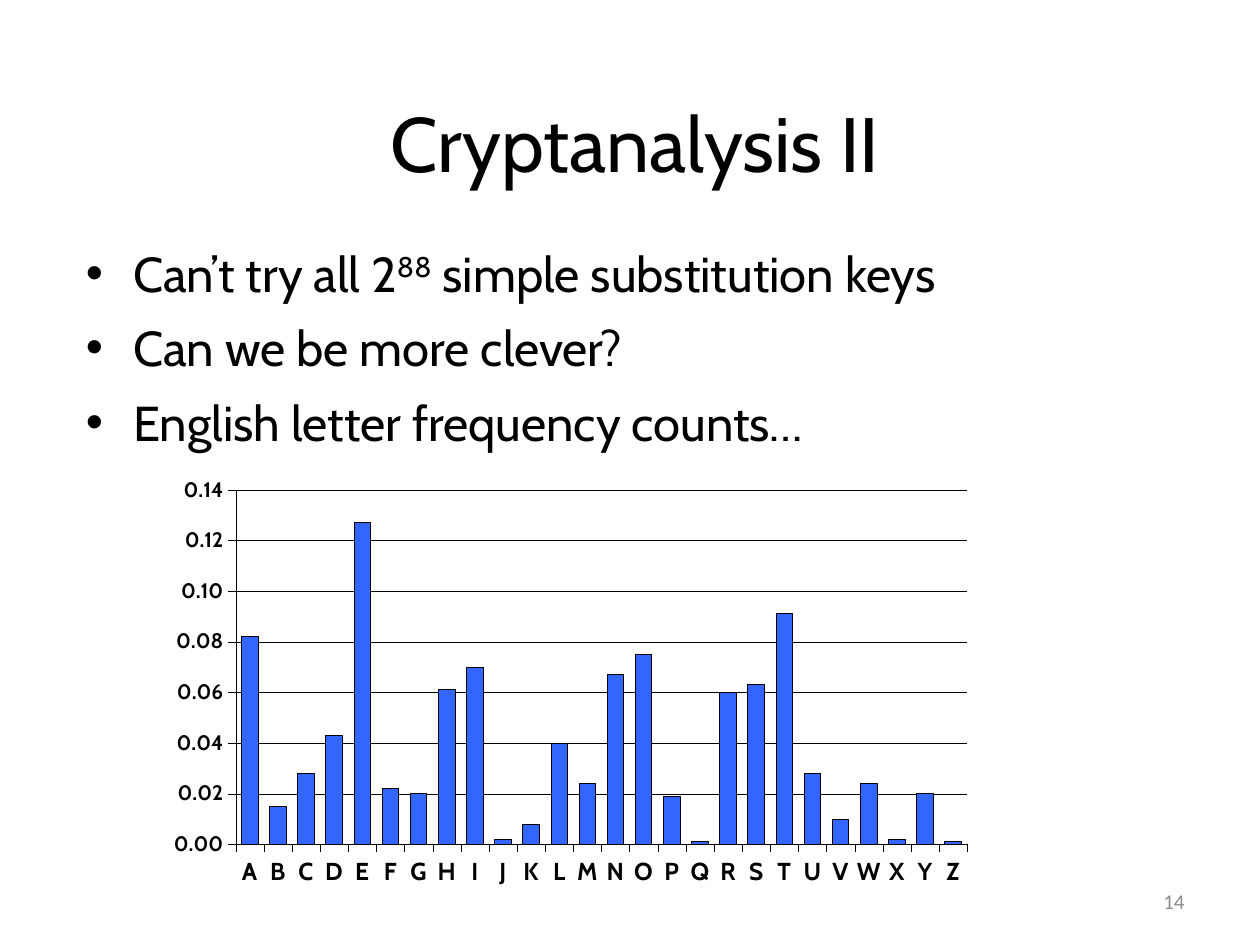
from lxml.etree import SubElement
from pptx import Presentation
from pptx.chart.data import CategoryChartData
from pptx.dml.color import RGBColor
from pptx.enum.chart import XL_CHART_TYPE, XL_TICK_LABEL_POSITION as LabelPosition, XL_TICK_MARK as TickMark
from pptx.enum.text import MSO_ANCHOR as Anchor, PP_ALIGN as Align
from pptx.oxml import parse_xml
from pptx.oxml.ns import nsdecls, qn
from pptx.util import Pt

BLACK = RGBColor(0x00, 0x00, 0x00)
GRAY = RGBColor(0x8C, 0x8C, 0x8C)
BLUE = RGBColor(0x33, 0x66, 0xFF)
MAIN_FONT = "Cabin"

# Each bullet is a list of (text, is superscript) parts.
BULLETS = [
    [("Can’t try all 2", False), ("88", True), (" simple substitution keys", False)],
    [("Can we be more clever?", False)],
    [("English letter frequency counts…", False)],
]
LETTERS = "ABCDEFGHIJKLMNOPQRSTUVWXYZ"
FREQUENCIES = [
    0.082, 0.015, 0.028, 0.043, 0.127, 0.022, 0.02, 0.061, 0.07, 0.002, 0.008, 0.04, 0.024,
    0.067, 0.075, 0.019, 0.001, 0.06, 0.063, 0.091, 0.028, 0.01, 0.024, 0.002, 0.02, 0.001,
]
PLOT_AREA = {"x": 0.107, "y": 0.077, "w": 0.882, "h": 0.754}


def style_font(font, size, color=BLACK, name=MAIN_FONT, bold=False):
    """Set the size, colour, typeface and weight of a font."""
    font.size, font.name, font.bold = Pt(size), name, bold
    font.color.rgb = color


def style_line(line, width):
    """Make a line solid black."""
    line.color.rgb = BLACK
    line.width = Pt(width)


def place(box, left, top, width, height):
    """Move and size a box, in points."""
    box.left, box.top, box.width, box.height = map(Pt, (left, top, width, height))


def add_title(page, text):
    """Fill the title placeholder."""
    box = page.shapes.title
    place(box, 42, 36, 642, 90)
    frame = box.text_frame
    frame.text = text
    frame.vertical_anchor = Anchor.MIDDLE
    para = frame.paragraphs[0]
    para.alignment = Align.CENTER
    style_font(para.runs[0].font, 44)


def set_bullet(para, indent):
    """Give a paragraph a hanging round bullet."""
    properties = para._p.get_or_add_pPr()
    properties.set("marL", str(Pt(indent)))
    properties.set("indent", str(-Pt(indent)))
    SubElement(properties, qn("a:buFont"), typeface="Arial")
    SubElement(properties, qn("a:buChar"), char="•")


def add_bullets(page, bullets):
    """Add the bulleted list."""
    frame = page.shapes.add_textbox(Pt(42), Pt(132), Pt(630), Pt(150)).text_frame
    frame.word_wrap = True
    for index, parts in enumerate(bullets):
        para = frame.add_paragraph() if index else frame.paragraphs[0]
        para.line_spacing = 1.1
        para.space_before = Pt(5.6)
        set_bullet(para, 27)
        for text, superscript in parts:
            span = para.add_run()
            span.text = text
            style_font(span.font, 28)
            if superscript:
                span._r.get_or_add_rPr().set("baseline", "30000")


def add_page_number(page, number):
    """Add the page number at the lower right."""
    frame = page.shapes.add_textbox(Pt(516), Pt(500.4), Pt(168), Pt(28.8)).text_frame
    frame.word_wrap = True
    frame.text = str(number)
    frame.vertical_anchor = Anchor.MIDDLE
    para = frame.paragraphs[0]
    para.alignment = Align.RIGHT
    style_font(para.runs[0].font, 12, GRAY, "Calibri")


def style_axis(axis, size):
    """Format the labels, ticks and line of an axis."""
    style_font(axis.tick_labels.font, size, bold=True)
    axis.major_tick_mark = TickMark.OUTSIDE
    axis.minor_tick_mark = TickMark.NONE
    style_line(axis.format.line, 0.13)


def set_plot_area(chart, fractions):
    """Fix the inner plot area as fractions of the chart."""
    plot_area = chart._chartSpace.chart.plotArea
    for old_layout in plot_area.findall(qn("c:layout")):
        plot_area.remove(old_layout)
    layout = parse_xml(f"<c:layout {nsdecls('c')}><c:manualLayout/></c:layout>")
    settings = {"layoutTarget": "inner", "xMode": "edge", "yMode": "edge", **fractions}
    for name, value in settings.items():
        SubElement(layout[0], qn(f"c:{name}"), val=str(value))
    plot_area.insert(0, layout)


def add_frequency_chart(page):
    """Add the column chart of letter frequencies."""
    data = CategoryChartData(number_format="0.000")
    data.categories = list(LETTERS)
    data.add_series("Series 1", FREQUENCIES)
    chart = page.shapes.add_chart(
        XL_CHART_TYPE.COLUMN_CLUSTERED, Pt(84), Pt(259.2), Pt(474), Pt(268.8), data
    ).chart
    chart.has_legend = False
    chart.has_title = False
    style_font(chart.font, 12.2, name="Comic Neue", bold=True)
    set_plot_area(chart, PLOT_AREA)

    style_axis(chart.category_axis, 14)
    chart.category_axis.tick_label_position = LabelPosition.LOW
    value_axis = chart.value_axis
    style_axis(value_axis, 12)
    value_axis.minimum_scale, value_axis.maximum_scale, value_axis.major_unit = 0, 0.14, 0.02
    value_axis.tick_labels.number_format = "0.00"
    value_axis.tick_labels.number_format_is_linked = False
    style_line(value_axis.major_gridlines.format.line, 0.13)

    plot = chart.plots[0]
    plot.gap_width = 70
    plot.vary_by_categories = False
    columns = plot.series[0].format
    columns.fill.solid()
    columns.fill.fore_color.rgb = BLUE
    style_line(columns.line, 0.52)


def main():
    """Build and save the deck."""
    deck = Presentation()
    deck.slide_width, deck.slide_height = Pt(720), Pt(540)
    page = deck.slides.add_slide(deck.slide_layouts[5])
    add_title(page, "Cryptanalysis II")
    add_bullets(page, BULLETS)
    add_page_number(page, 14)
    add_frequency_chart(page)
    deck.save("out.pptx")


main()
